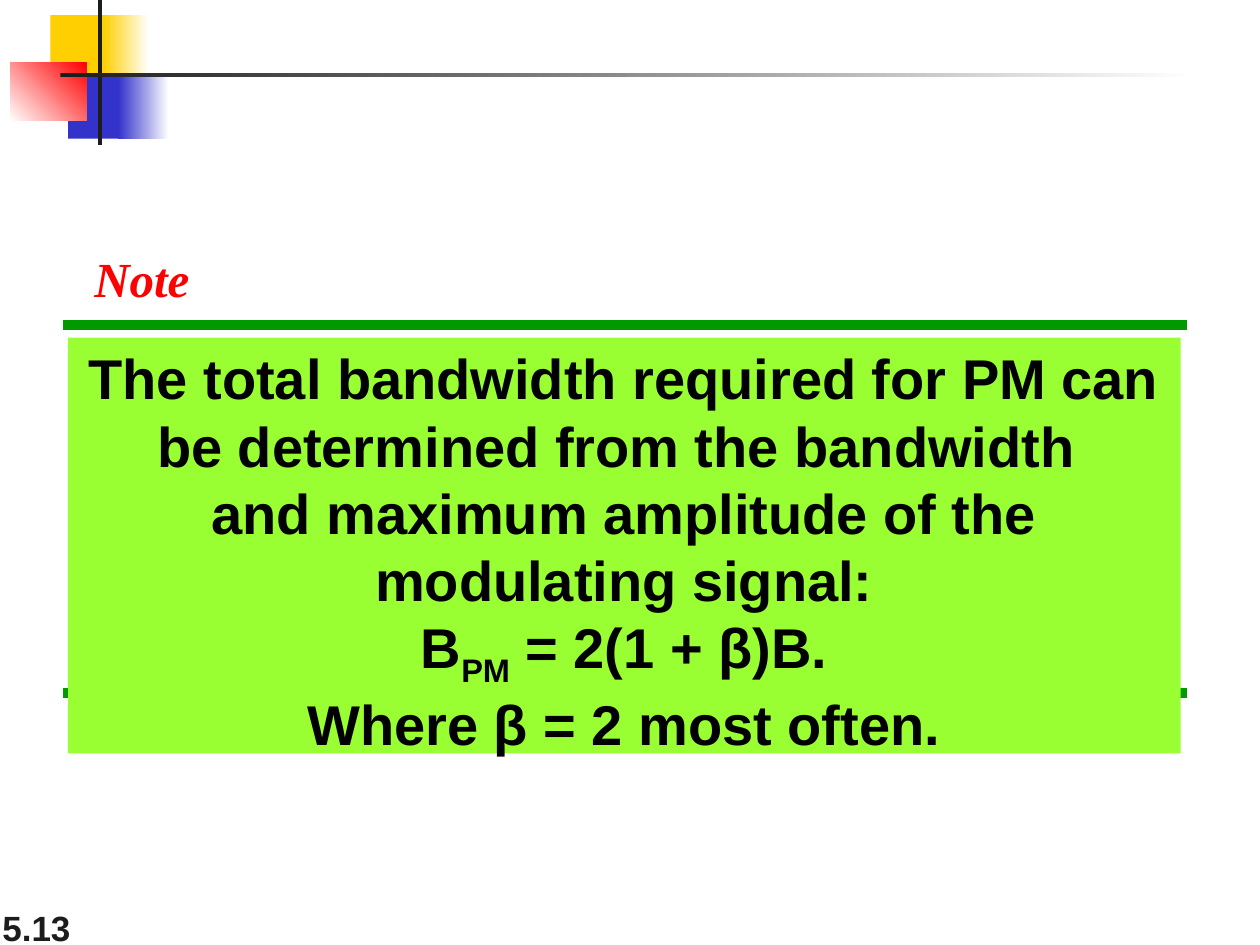
from lxml import etree
from pptx import Presentation
from pptx import util as u
from pptx.dml.color import RGBColor
from pptx.enum import shapes, text
from pptx.oxml.ns import qn


def tint(code):
    return RGBColor.from_string(code)


def write(frame, paras, font="Arial", size=32, color="000000", italic=False,
          align=text.PP_ALIGN.LEFT, anchor=text.MSO_ANCHOR.TOP, wrap=True):
    frame.word_wrap = wrap
    frame.vertical_anchor = anchor
    for i, parts in enumerate(paras):
        para = frame.paragraphs[0] if i == 0 else frame.add_paragraph()
        para.alignment = align
        for words, base in parts:
            for j, line in enumerate(words.split("\n")):
                if j:
                    para.add_line_break()
                run = para.add_run()
                run.text = line
                run.font.name, run.font.size = font, u.Pt(size)
                run.font.bold, run.font.italic = True, italic
                run.font.color.rgb = tint(color)
                if base:
                    run.font._element.set("baseline", str(base * 1000))


class Deck:
    """Holds the style and the current slide, and adds each kind of element."""

    dark, gold, blue, red = "1C1C1C", "FFCF01", "3333CC", "FF0000"
    white, green, lime = "FFFFFF", "009900", "99FF33"

    def __init__(self):
        self.prs = Presentation()
        self.prs.slide_width, self.prs.slide_height = u.Inches(10), u.Inches(7.5)
        self.slide = self.prs.slides.add_slide(self.prs.slide_layouts[6])

    def rect(self, box, *colors, angle=0):
        shape = self.slide.shapes.add_shape(shapes.MSO_SHAPE.RECTANGLE, *map(u.Inches, box))
        shape.shadow.inherit = False
        shape.line.fill.background()
        if len(colors) == 1:
            shape.fill.solid()
            shape.fill.fore_color.rgb = tint(colors[0])
        else:
            shape.fill.gradient()
            shape.fill.gradient_angle = angle
            for stop, code, place in zip(shape.fill.gradient_stops, colors, (0, 1)):
                stop.color.rgb = tint(code)
                stop.position = place
        return shape

    def rule(self, left, right, top):
        line = self.slide.shapes.add_connector(
            shapes.MSO_CONNECTOR.STRAIGHT, *map(u.Inches, (left, top, right, top)))
        line.line.color.rgb = tint(self.green)
        line.line.width = u.Pt(6)
        etree.SubElement(line._element.spPr, qn("a:effectLst"))

    def label(self, box, words, **style):
        shape = self.slide.shapes.add_textbox(*map(u.Inches, box))
        write(shape.text_frame, [[(words, 0)]], **style)

    def panel(self, box, paras, **style):
        write(self.rect(box, self.lime).text_frame, paras, **style)


def main():
    deck = Deck()
    deck.label((-0.08, 7.08, 2.08, 0.5), "5.13", size=20, color=deck.dark,
               anchor=text.MSO_ANCHOR.BOTTOM)
    deck.rect((0.4, 0.12, 0.48, 0.52), deck.gold)
    deck.rect((0.82, 0.12, 0.36, 0.52), deck.gold, deck.white)
    deck.rect((0.54, 0.58, 0.46, 0.52), deck.blue)
    deck.rect((0.94, 0.58, 0.4, 0.52), deck.blue, deck.white)
    deck.rect((0.08, 0.5, 0.61, 0.46), deck.white, deck.red, angle=45)
    deck.rect((0.78, 0, 0.03, 1.15), deck.dark)
    deck.rect((0.48, 0.58, 9, 0.03), deck.dark, deck.white)
    for top in (2.58, 5.5):
        deck.rule(0.5, 9.42, top)
    deck.panel((0.54, 2.68, 8.83, 3.3), [
        [("The total bandwidth required for PM can be determined from the bandwidth \n"
          "and maximum amplitude of the modulating signal:\nB", 0),
         ("PM", -25), (" = 2(1 + β)B.", 0)],
        [("Where β = 2 most often.", 0)],
    ], align=text.PP_ALIGN.CENTER)
    deck.label((0.65, 1.92, 0.96, 0.57), "Note", font="Times New Roman", size=28,
               color=deck.red, italic=True, wrap=False)
    deck.prs.save("out.pptx")


if __name__ == "__main__":
    main()
